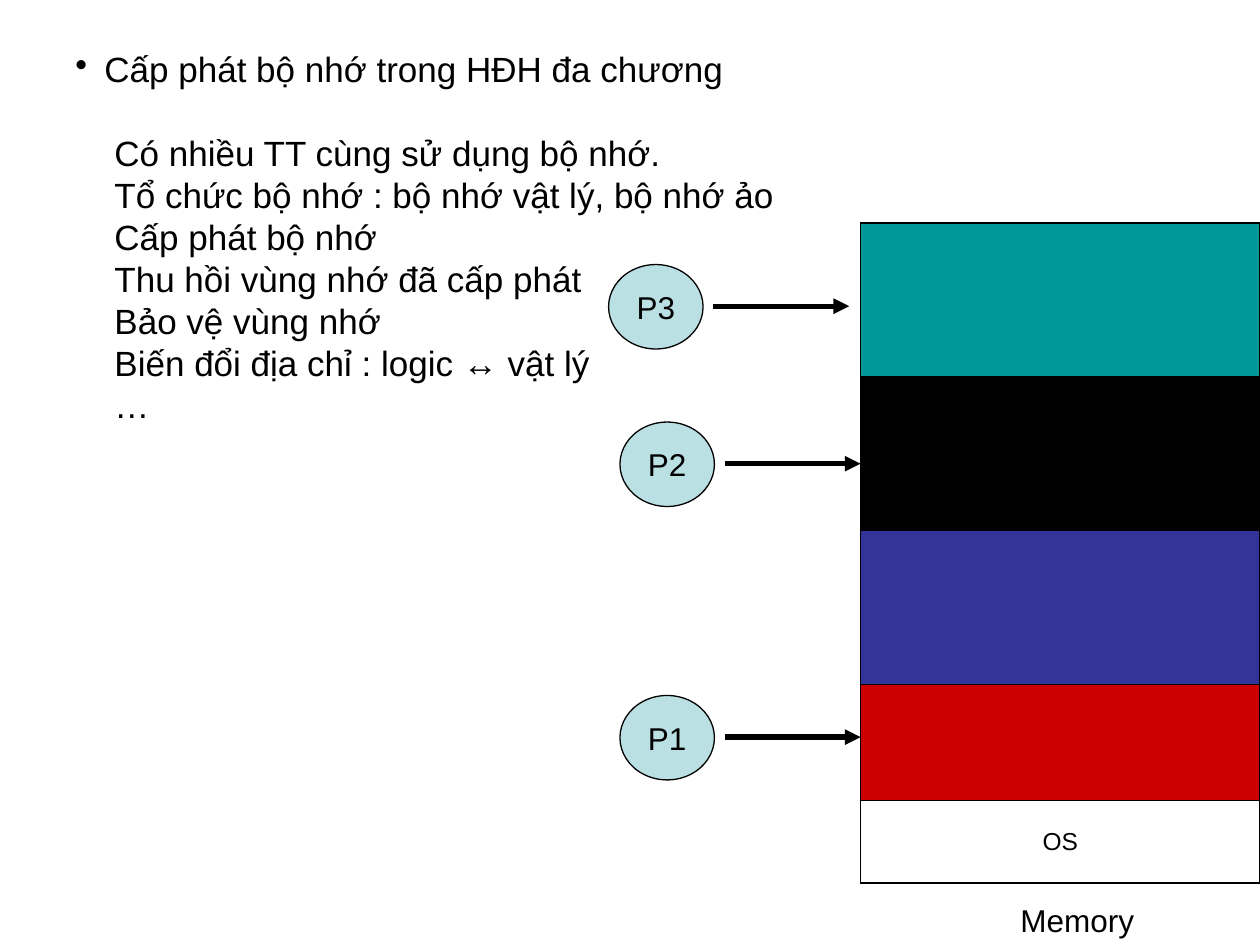
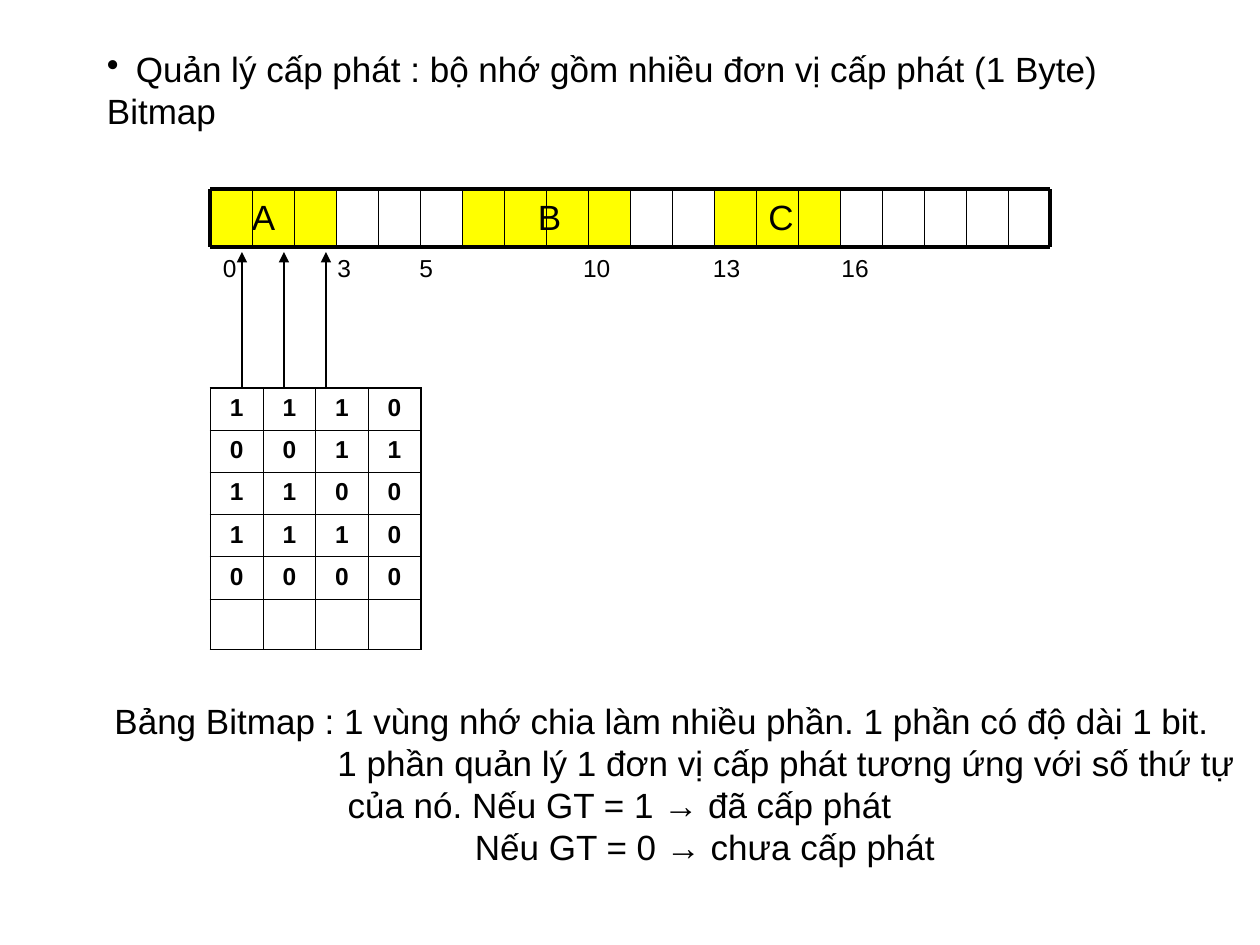
import pptx
import pptx.dml.color
import pptx.enum.shapes
import pptx.enum.text
import pptx.oxml.ns
import pptx.util
from lxml import etree

Inches = pptx.util.Inches
Pt = pptx.util.Pt
RGBColor = pptx.dml.color.RGBColor
ALIGN = pptx.enum.text.PP_ALIGN
ANCHOR = pptx.enum.text.MSO_ANCHOR
SHAPE = pptx.enum.shapes.MSO_SHAPE
qn = pptx.oxml.ns.qn

FONT = "Arial"
BLACK = RGBColor(0x00, 0x00, 0x00)
TEAL = RGBColor(0x00, 0x99, 0x99)
INDIGO = RGBColor(0x33, 0x33, 0x99)
RED = RGBColor(0xCC, 0x00, 0x00)
PALE_BLUE = RGBColor(0xBB, 0xE0, 0xE3)
YELLOW = RGBColor(0xFF, 0xFF, 0x00)

BODY_SIZE = 20
LABEL_SIZE = 18
SMALL_SIZE = 14
BULLET_INDENT = 0.23
OUTER_BORDER = 1.08
INNER_BORDER = 0.45


# ---- Shared helpers ----
def format_runs(paragraph, size, bold=False):
    for run in paragraph.runs:
        run.font.name = FONT
        run.font.size = Pt(size)
        run.font.bold = bold
        run.font.color.rgb = BLACK


def set_indent(paragraph, left, first=0):
    properties = paragraph._p.get_or_add_pPr()
    properties.set("marL", str(Inches(left)))
    properties.set("indent", str(Inches(first)))
    return properties


def add_bullet(paragraph):
    properties = set_indent(paragraph, BULLET_INDENT, -BULLET_INDENT)
    etree.SubElement(properties, qn("a:buChar")).set("char", "•")


def add_tabs(paragraph, positions):
    tab_list = etree.SubElement(paragraph._p.get_or_add_pPr(), qn("a:tabLst"))
    for position in positions:
        tab = etree.SubElement(tab_list, qn("a:tab"))
        tab.set("pos", str(Inches(position)))
        tab.set("algn", "l")


def add_text(shapes, box, text, size, wrap=True):
    """Add a text box with one paragraph per line and return its paragraphs."""
    text_frame = shapes.add_textbox(*map(Inches, box)).text_frame
    text_frame.word_wrap = wrap
    text_frame.text = text
    for paragraph in text_frame.paragraphs:
        format_runs(paragraph, size)
    return text_frame.paragraphs


def add_line(shapes, start, end, width, arrow=False):
    connector = shapes.add_connector(
        pptx.enum.shapes.MSO_CONNECTOR.STRAIGHT, *map(Inches, start + end))
    connector.line.color.rgb = BLACK
    connector.line.width = Pt(width)
    if arrow:
        tail = etree.SubElement(connector.line._get_or_add_ln(), qn("a:tailEnd"))
        tail.set("type", "triangle")
    etree.SubElement(connector._element.spPr, qn("a:effectLst"))


def add_filled(shapes, kind, box, color):
    shape = shapes.add_shape(kind, *map(Inches, box))
    shape.shadow.inherit = False
    shape.fill.solid()
    shape.fill.fore_color.rgb = color
    return shape


def set_borders(cell, widths):
    """Draw borders in the order left, right, top, bottom."""
    properties = cell._tc.get_or_add_tcPr()
    for index, (side, width) in enumerate(zip("LRTB", widths)):
        line = etree.Element(qn("a:ln" + side))
        line.set("w", str(Pt(width)))
        fill = etree.SubElement(line, qn("a:solidFill"))
        etree.SubElement(fill, qn("a:srgbClr")).set("val", str(BLACK))
        properties.insert(index, line)


def add_grid(slide, left, top, column_width, heights, rows, fills=None, bold=False):
    """Add a table of centred text with a heavier outer border."""
    column_count = len(rows[0])
    frame = slide.shapes.add_table(
        len(rows), column_count, Inches(left), Inches(top),
        Inches(column_width * column_count), Inches(sum(heights)))
    table = frame.table
    table.first_row = False
    table.horz_banding = False
    for column in table.columns:
        column.width = Inches(column_width)
    for r, values in enumerate(rows):
        table.rows[r].height = Inches(heights[r])
        for c, value in enumerate(values):
            cell = table.cell(r, c)
            if fills and fills[r] is not None:
                cell.fill.solid()
                cell.fill.fore_color.rgb = fills[r]
            else:
                cell.fill.background()
            edges = (c == 0, c == column_count - 1, r == 0, r == len(rows) - 1)
            set_borders(cell, [OUTER_BORDER if edge else INNER_BORDER for edge in edges])
            if value:
                cell.text = value
                paragraph = cell.text_frame.paragraphs[0]
                paragraph.alignment = ALIGN.CENTER
                format_runs(paragraph, SMALL_SIZE, bold)
    return table


# ---- Slide 1: memory shared by processes ----
def add_memory_column(slide, left, top):
    fills = [TEAL, BLACK, INDIGO, RED, None]
    table = add_grid(slide, left, top, 3.17, [1.22, 1.22, 1.22, 0.92, 0.66],
                     [[""], [""], [""], [""], ["OS"]], fills)
    table.cell(4, 0).vertical_anchor = ANCHOR.MIDDLE
    add_text(slide.shapes, (left + 1.17, top + 5.33, 1.1, 0.4), "Memory",
             LABEL_SIZE, wrap=False)


def add_process(slide, name, left, top):
    ellipse = add_filled(slide.shapes, SHAPE.OVAL, (left, top, 0.75, 0.67), PALE_BLUE)
    ellipse.line.color.rgb = BLACK
    ellipse.line.width = Pt(0.75)
    text_frame = ellipse.text_frame
    text_frame.word_wrap = False
    text_frame.vertical_anchor = ANCHOR.MIDDLE
    text_frame.text = name
    text_frame.paragraphs[0].alignment = ALIGN.CENTER
    format_runs(text_frame.paragraphs[0], LABEL_SIZE)
    middle = top + 0.33
    add_line(slide.shapes, (left + 0.83, middle), (left + 1.91, middle), 3, arrow=True)


def build_multiprogramming_slide(slide):
    heading, *tasks = add_text(slide.shapes, (0.5, 0.33, 8.42, 3.1), "\n".join([
        "Cấp phát bộ nhớ trong HĐH đa chương",
        "Có nhiều TT cùng sử dụng bộ nhớ.",
        "Tổ chức bộ nhớ : bộ nhớ vật lý, bộ nhớ ảo",
        "Cấp phát bộ nhớ",
        "Thu hồi vùng nhớ đã cấp phát",
        "Bảo vệ vùng nhớ",
        "Biến đổi địa chỉ : logic ↔ vật lý",
        "…",
    ]), BODY_SIZE)
    add_bullet(heading)
    for task in tasks:
        set_indent(task, 0.31)
    tasks[0].space_before = Pt(24)

    add_memory_column(slide, 6.83, 1.77)
    for name, left, top in [("P1", 4.92, 5.52), ("P2", 4.92, 3.35), ("P3", 4.83, 2.1)]:
        add_process(slide, name, left, top)


# ---- Slide 2: bitmap of allocation units ----
def add_memory_strip(slide, left, top):
    unit_count, unit, height = 20, 1 / 3, 0.46
    right, bottom = left + unit_count * unit, top + height
    # Label, first unit, number of units, label offset
    blocks = [("A", 0, 3, 0.23), ("B", 6, 4, 2.5), ("C", 12, 3, 4.33)]
    shapes = slide.shapes.add_group_shape().shapes

    numbers = add_text(shapes, (left, bottom, 6.67, 0.39), "0\t3\t5\t10\t13\t16", SMALL_SIZE)
    add_tabs(numbers[0], [0.91, 1.56, 2.86, 3.89, 4.91])

    for _, first, count, _ in blocks:
        for index in range(first, first + count):
            square = add_filled(shapes, SHAPE.RECTANGLE,
                                (left + index * unit, top, unit, height), YELLOW)
            square.line.fill.background()
    for y in (top, bottom):
        add_line(shapes, (left, y), (right, y), 2.25)
    for index in range(unit_count + 1):
        x = left + index * unit
        add_line(shapes, (x, top), (x, bottom), 2.25 if index in (0, unit_count) else 1)
    for label, _, _, offset in blocks:
        add_text(shapes, (left + offset, top, 0.38, 0.44), label, BODY_SIZE, wrap=False)


def add_bitmap_table(slide, left, top):
    bits = ["1110", "0011", "1100", "1110", "0000"]
    rows = [list(row) for row in bits] + [[""] * 4]
    add_grid(slide, left, top, 1.67 / 4, [0.335] * len(rows), rows, bold=True)
    for index in range(3):
        x = left + 0.25 + index / 3
        add_line(slide.shapes, (x, top), (x, top - 1.08), 0.75, arrow=True)


def build_bitmap_slide(slide):
    heading = add_text(slide.shapes, (0.75, 0.33, 8.35, 0.77),
                       "Quản lý cấp phát : bộ nhớ gồm nhiều đơn vị cấp phát (1 Byte)\nBitmap",
                       BODY_SIZE)
    add_bullet(heading[0])
    add_memory_strip(slide, 1.67, 1.5)
    add_bitmap_table(slide, 1.67, 3.08)

    # Explanation, with stepped indents
    explanation = add_text(slide.shapes, (0.81, 5.5, 9.18, 1.44), "\n".join([
        "Bảng Bitmap : 1 vùng nhớ chia làm nhiều phần. 1 phần có độ dài 1 bit.",
        "1 phần quản lý 1 đơn vị cấp phát tương ứng với số thứ tự",
        "của nó. Nếu GT = 1 → đã cấp phát",
        "Nếu GT = 0 → chưa cấp phát",
    ]), BODY_SIZE)
    for paragraph, indent in zip(explanation, [0, 1.77, 1.85, 2.86]):
        set_indent(paragraph, indent)


def main():
    presentation = pptx.Presentation()
    presentation.slide_width = Inches(10)
    presentation.slide_height = Inches(7.5)
    for build in (build_multiprogramming_slide, build_bitmap_slide):
        build(presentation.slides.add_slide(presentation.slide_layouts[6]))
    presentation.save("out.pptx")


if __name__ == "__main__":
    main()
